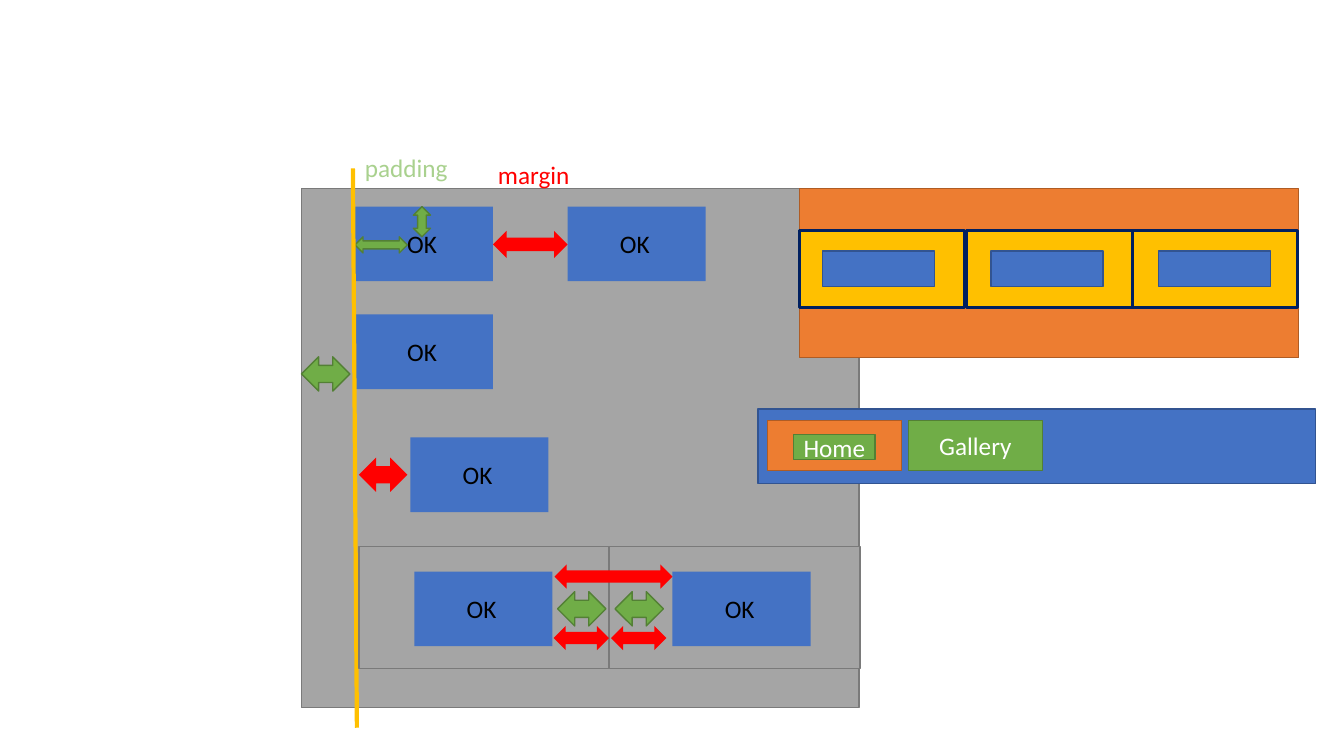
"""Builds a slide that contrasts padding and margin in box layouts."""
from lxml import etree
from pptx import Presentation
from pptx import util as u
from pptx.dml.color import RGBColor
from pptx.enum import shapes, text
from pptx.oxml.ns import qn

COLORS = {
    "gray": "A5A5A5", "gray_line": "7A7A7A",
    "blue": "4472C4", "blue_line": "325491",
    "green": "70AD47", "green_line": "538035",
    "orange": "ED7D31", "orange_line": "AF5C24",
    "gold": "FFC000", "navy": "002060", "red": "FF0000",
    "light_green": "A9D18E", "black": "000000", "white": "FFFFFF",
}
RECT = shapes.MSO_SHAPE.RECTANGLE
ACROSS = shapes.MSO_SHAPE.LEFT_RIGHT_ARROW
UP_DOWN = shapes.MSO_SHAPE.UP_DOWN_ARROW


def rgb(name):
    return RGBColor.from_string(COLORS[name])


def write(sp, words, color):
    tf = sp.text_frame
    tf.word_wrap = False
    p = tf.paragraphs[0]
    p.text = words
    p.font.name, p.font.size = "Calibri", u.Pt(18)
    p.font.color.rgb = rgb(color)
    return tf


def add_shape(s, kind, box, fill, line=None, width=1):
    sp = s.shapes.add_shape(kind, *map(u.Inches, box))
    sp.shadow.inherit = False
    sp.fill.solid()
    sp.fill.fore_color.rgb = rgb(fill)
    if line:
        sp.line.color.rgb = rgb(line)
        sp.line.width = u.Pt(width)
    else:
        sp.line.fill.background()
    return sp


def add_label(s, box, words, color):
    sp = s.shapes.add_textbox(*map(u.Inches, box))
    write(sp, words, color)


def add_ok_button(s, x, y):
    add_shape(s, RECT, (x, y, 1.37, 0.74), "blue")
    add_label(s, (x + 0.42, y + 0.17, 0.52, 0.4), "OK", "black")


def add_padding_arrow(s, box, kind=ACROSS):
    add_shape(s, kind, box, "green", "green_line")


def add_margin_arrow(s, box):
    add_shape(s, ACROSS, box, "red")


def add_tab(s, box, words):
    sp = add_shape(s, RECT, box, "green", "green_line")
    tf = write(sp, words, "white")
    tf.vertical_anchor = text.MSO_ANCHOR.MIDDLE
    tf.paragraphs[0].alignment = text.PP_ALIGN.CENTER


def add_guide(s, x1, y1, x2, y2):
    line = s.shapes.add_connector(
        shapes.MSO_CONNECTOR.STRAIGHT, *map(u.Inches, (x1, y1, x2, y2)))
    line.line.color.rgb = rgb("gold")
    line.line.width = u.Pt(3)
    etree.SubElement(line._element.spPr, qn("a:effectLst"))


def add_page(s):
    add_shape(s, RECT, (2.99, 1.87, 5.53, 5.15), "gray", "gray_line")
    for x, y in ((3.52, 2.05), (5.63, 2.05), (3.52, 3.12), (4.07, 4.34)):
        add_ok_button(s, x, y)
    add_padding_arrow(s, (4.1, 2.05, 0.17, 0.3), UP_DOWN)
    add_padding_arrow(s, (3.52, 2.35, 0.52, 0.16))
    add_label(s, (3.52, 1.46, 1.1, 0.4), "padding", "light_green")
    add_margin_arrow(s, (4.89, 2.29, 0.74, 0.27))
    add_label(s, (4.84, 1.53, 1.37, 0.4), "margin", "red")
    add_padding_arrow(s, (2.99, 3.54, 0.48, 0.34))
    add_guide(s, 3.5, 1.67, 3.54, 7.22)
    add_margin_arrow(s, (3.56, 4.54, 0.48, 0.34))


def add_cells(s):
    for x in (3.56, 6.04):
        add_shape(s, RECT, (x, 5.42, 2.49, 1.21), "gray", "gray_line")
    for x in (4.11, 6.67):
        add_ok_button(s, x, 5.67)
    for x in (5.53, 6.1):
        add_padding_arrow(s, (x, 5.87, 0.48, 0.34))
    for x, y, w in ((5.5, 5.6, 1.17), (5.49, 6.21, 0.55), (6.06, 6.21, 0.55)):
        add_margin_arrow(s, (x, y, w, 0.24))


def add_columns(s):
    add_shape(s, RECT, (7.93, 1.87, 4.95, 1.68), "orange", "orange_line")
    for x in (7.93, 9.59, 11.23):
        add_shape(s, RECT, (x, 2.29, 1.64, 0.76), "gold", "navy", 2.25)
    for x in (8.16, 9.83, 11.49):
        add_shape(s, RECT, (x, 2.49, 1.11, 0.35), "blue", "blue_line")


def add_menu(s):
    add_shape(s, RECT, (7.52, 4.06, 5.53, 0.74), "blue", "blue_line")
    add_shape(s, RECT, (7.61, 4.17, 1.33, 0.5), "orange", "orange_line")
    add_tab(s, (7.87, 4.31, 0.81, 0.25), "Home")
    add_tab(s, (9.01, 4.17, 1.33, 0.5), "Gallery")


def main():
    prs = Presentation()
    prs.slide_width, prs.slide_height = u.Inches(13.33), u.Inches(7.5)
    s = prs.slides.add_slide(prs.slide_layouts[6])
    add_page(s)
    add_cells(s)
    add_columns(s)
    add_menu(s)
    prs.save("out.pptx")


main()
